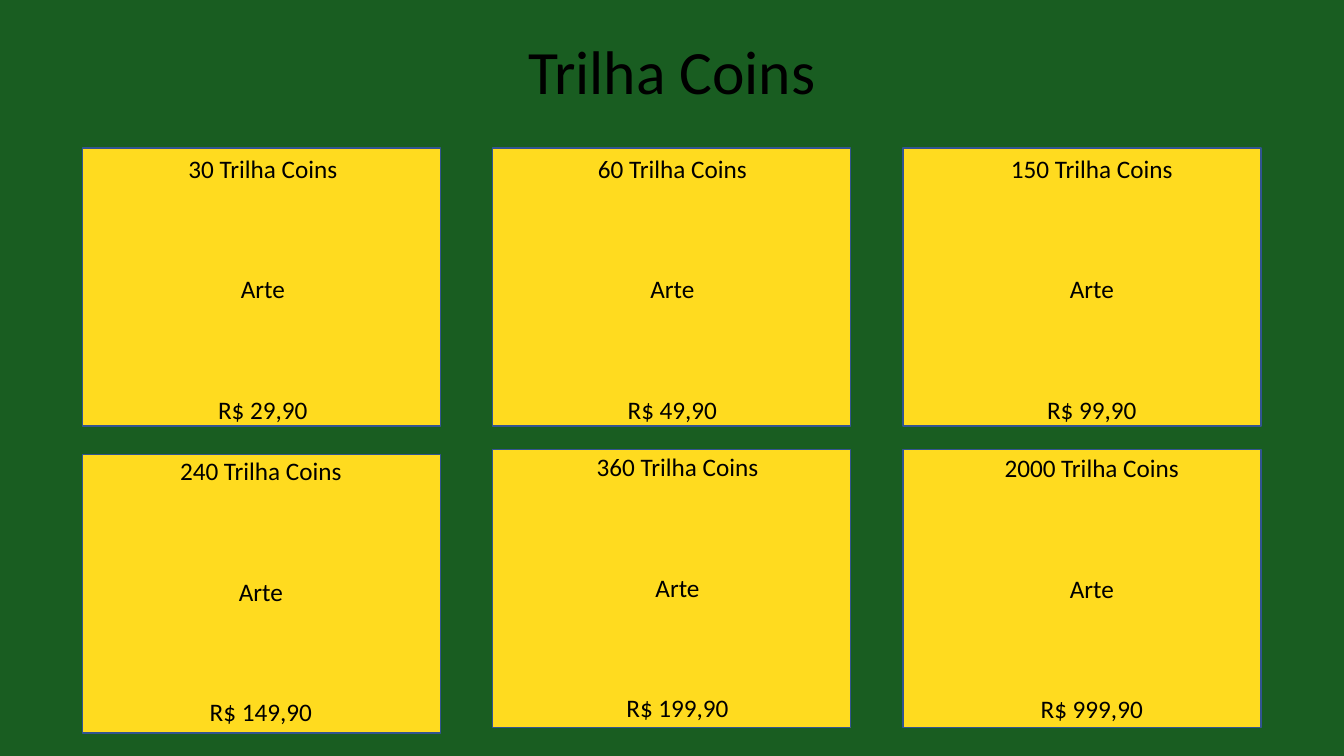
from dataclasses import dataclass

from pptx import Presentation
from pptx import util as u
from pptx.dml.color import RGBColor
from pptx.enum import shapes, text


@dataclass(frozen=True)
class Theme:
    back: str = "195D21"
    card: str = "FFDB1F"
    edge: str = "325491"
    ink: str = "000000"
    font: str = "Calibri"
    head: float = 44
    body: float = 18
    gap: float = 64.5


THEME = Theme()
LEFT, TOP = 2.08, 3.73
WIDE, HIGH = 9.02, 7.01
STEP = 10.34

# fields: coins, price, column, top, text shift across, text shift down
OFFERS = [
    ("30", "29,90", 0, TOP, 0.25, 0),
    ("60", "49,90", 1, TOP, 0.23, 0),
    ("150", "99,90", 2, TOP, 0.46, 0),
    ("240", "149,90", 0, 11.46, 0.2, -0.1),
    ("360", "199,90", 1, 11.33, 0.36, -0.08),
    ("2000", "999,90", 2, 11.33, 0.46, -0.05),
]


def cm(box):
    return [u.Cm(side) for side in box]


def write(slide, box, lines, size=THEME.body, gap=0, space=1.0,
          anchor=text.MSO_ANCHOR.TOP):
    frame = slide.shapes.add_textbox(*cm(box)).text_frame
    frame.word_wrap = True
    frame.vertical_anchor = anchor
    for i, line in enumerate(lines):
        para = frame.add_paragraph() if i else frame.paragraphs[0]
        para.alignment = text.PP_ALIGN.CENTER
        para.line_spacing = space
        para.space_before = u.Pt(gap if i else 0)
        run = para.add_run()
        run.text = line
        run.font.name = THEME.font
        run.font.size = u.Pt(size)
        run.font.color.rgb = RGBColor.from_string(THEME.ink)


def title(slide, box):
    write(slide, box, ["Trilha Coins"], size=THEME.head, space=0.9,
          anchor=text.MSO_ANCHOR.MIDDLE)


def card(slide, box, coins, price, across, down):
    left, top, wide, high = box
    panel = slide.shapes.add_shape(
        shapes.MSO_SHAPE.FLOWCHART_PROCESS, *cm(box))
    panel.shadow.inherit = False
    panel.fill.solid()
    panel.fill.fore_color.rgb = RGBColor.from_string(THEME.card)
    panel.line.color.rgb = RGBColor.from_string(THEME.edge)
    panel.line.width = u.Pt(1)
    write(slide, (left + across, top + down, wide - 0.43, high + 0.18),
          [f"{coins} Trilha Coins", "Arte", f"R$ {price}"], gap=THEME.gap)


def main():
    deck = Presentation()
    deck.slide_width, deck.slide_height = u.Cm(33.87), u.Cm(19.05)
    slide = deck.slides.add_slide(deck.slide_layouts[6])
    slide.background.fill.solid()
    slide.background.fill.fore_color.rgb = RGBColor.from_string(THEME.back)
    title(slide, (2.33, 0.05, 29.21, 3.68))
    for coins, price, col, top, across, down in OFFERS:
        card(slide, (LEFT + col * STEP, top, WIDE, HIGH),
             coins, price, across, down)
    deck.save("out.pptx")


if __name__ == "__main__":
    main()
